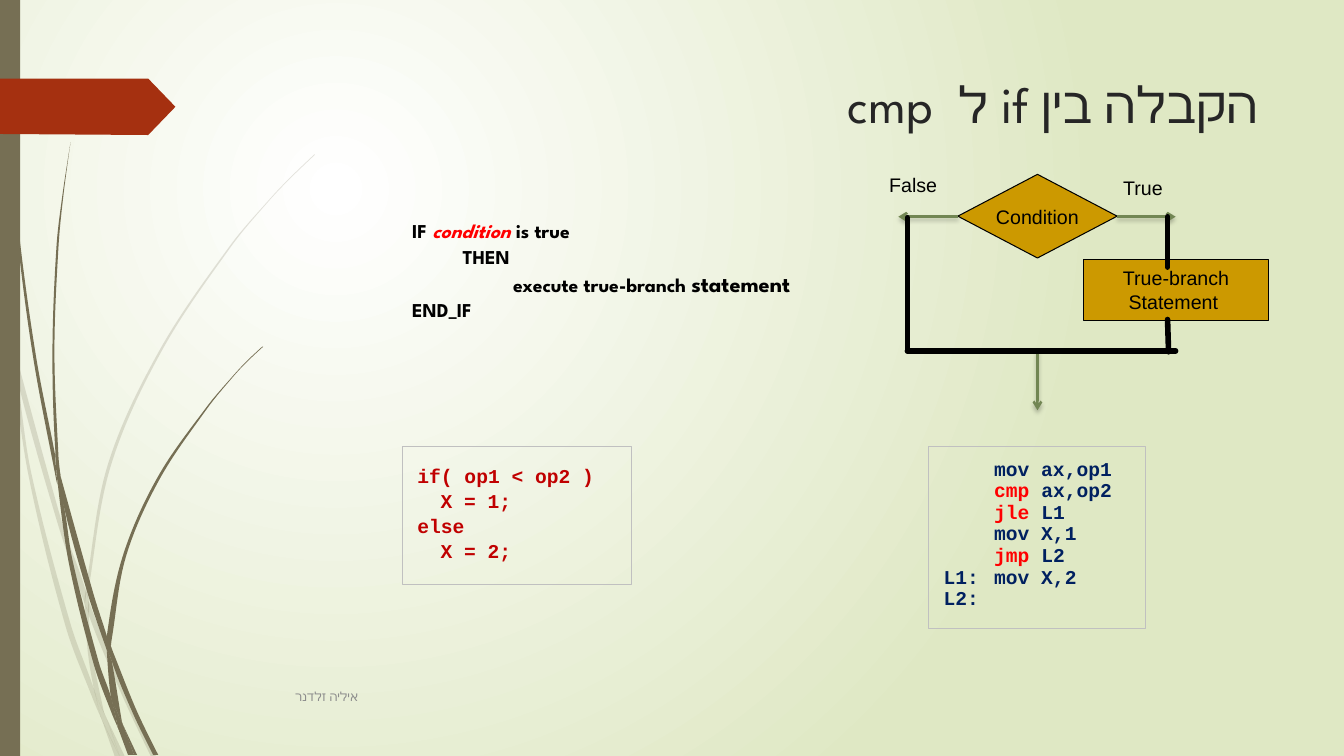
from math import hypot

from lxml import etree
from pptx import Presentation
from pptx.dml.color import RGBColor
from pptx.enum.shapes import MSO_CONNECTOR, MSO_SHAPE
from pptx.enum.text import MSO_ANCHOR, PP_ALIGN
from pptx.oxml.ns import qn
from pptx.util import Inches, Pt

LEFT, CENTER, RIGHT = PP_ALIGN.LEFT, PP_ALIGN.CENTER, PP_ALIGN.RIGHT
TOP, MIDDLE = MSO_ANCHOR.TOP, MSO_ANCHOR.MIDDLE
RECTANGLE = MSO_SHAPE.RECTANGLE
PROCESS, DECISION = MSO_SHAPE.FLOWCHART_PROCESS, MSO_SHAPE.FLOWCHART_DECISION
STRAIGHT = MSO_CONNECTOR.STRAIGHT
BROWN, RUST, GOLD, GREEN = "766F54", "A53010", "CC9900", "728653"
BLACK, RED, NAVY, DARK_RED, SILVER = "000000", "FF0000", "002060", "C00000", "C0C0C0"
HEADING_FONT, LABEL_FONT, CODE_FONT = "League Spartan", "Arial", "Courier New"

TITLE = "הקבלה בין if ל  cmp"
FOOTER = "איליה זלדנר"
# Each line is (indent in inches, runs); each run is (text, differences from the base style).
KEYWORD = {"color": RED}
PSEUDOCODE_HEAD = [(0, [("IF ", {}), ("condition", {"color": RED, "italic": True}), (" is true", {})])]
PSEUDOCODE_REST = [
    (0, [("\tTHEN", {})]),
    (0, [("\t\texecute true-branch ", {}), ("statement", {"size": 16})]),
    (0, [("END_IF", {})]),
]
C_CODE = [(indent, [(text, {})]) for indent, text in [
    (0, "if( op1 < op2 )"), (0.23, "X = 1;"), (0, "else"), (0.23, "X = 2;")]]
ASSEMBLY = [
    (0.5, [("mov ax,op1", {})]),
    (0.5, [("cmp", KEYWORD), (" ax,op2", {})]),
    (0.5, [("jle", KEYWORD), (" L1", {})]),
    (0.5, [("mov X,1", {})]),
    (0.5, [("jmp", KEYWORD), (" L2", {})]),
    (0, [("L1:\tmov X,2", {})]),
    (0, [("L2:", {})]),
]
FLOW_SHAPES = [
    (PROCESS, (10.75, 2.57, 1.83, 0.61), ["True-branch", "Statement "]),
    (DECISION, (9.5, 1.73, 1.58, 0.83), ["Condition"]),
]
BRANCH_LABELS = [("True", (11.04, 1.7, 1.08, 0.34)), ("False", (8.72, 1.67, 0.92, 0.34))]
FLOW_ARROWS = [(11.08, 2.15, 11.66, 2.15), (9.5, 2.15, 8.91, 2.15), (10.29, 3.48, 10.29, 4.07)]
FLOW_LINES = [(11.58, 2.15, 11.58, 2.65), (9, 2.16, 9, 3.48),
              (11.66, 3.48, 9, 3.48), (11.58, 3.17, 11.59, 3.49)]
BANNER = [(0, 0.78), (1.47, 0.78), (1.74, 1.06), (1.47, 1.34), (0, 1.33)]
# Grass pieces as closed outlines, the pale tuft behind the dark one.
PALE_GRASS = [
    [(0.11, 3.5), (0.09, 3.22), (0, 2.82), (0, 2.99), (0.1, 3.44)],
    [(0.58, 5.22), (0.84, 5.99), (0.85, 5.86), (0.62, 5.2), (0.14, 3.45), (0.17, 3.76)],
    [(0.92, 6.07), (0.88, 5.96), (0.88, 6.1), (1.23, 6.94), (1.5, 7.51), (1.55, 7.51), (1.27, 6.92)],
    [(1.19, 7.51), (1.24, 7.51), (1.05, 7.11)],
    [(0.93, 6.83), (0.7, 6.19), (0.31, 4.69), (0.17, 3.76), (0.11, 3.5), (0.28, 4.7),
     (0.65, 6.21), (0.92, 6.93), (1.01, 7.14), (0.99, 7.07)],
    [(0.84, 5.99), (0.87, 6.46), (0.93, 6.83), (0.96, 6.92), (1.05, 7.11), (1.03, 7.06),
     (0.91, 6.46), (0.88, 6.1), (0.88, 6.08)],
    [(0.88, 5.84), (1.1, 4.62), (1.6, 3.49), (2.29, 2.45), (2.68, 1.98), (2.9, 1.75),
     (3.12, 1.54), (3.12, 1.53), (2.89, 1.75), (2.68, 1.97), (2.28, 2.44), (1.58, 3.48),
     (1.07, 4.61), (0.85, 5.84), (0.85, 5.86), (0.88, 5.96)],
    [(1.01, 7.14), (1.14, 7.51), (1.19, 7.51)],
    [(0.88, 6.08), (0.88, 6.1), (0.88, 5.96), (0.85, 5.86), (0.84, 5.99)],
    [(0.96, 6.92), (0.93, 6.83), (0.99, 7.07), (1.01, 7.14), (1.19, 7.51), (1.05, 7.11)],
]
DARK_GRASS = [
    [(0.07, 1.1), (0.17, 2.33), (0.33, 3.55), (0.56, 4.77), (0.57, 4.81), (0.55, 4.57),
     (0.55, 4.53), (0.36, 3.55), (0.19, 2.32), (0.08, 1.09), (0.05, 0.48), (0.04, 0),
     (0.03, 0), (0.04, 0.48)],
    [(0.88, 5.92), (1.06, 6.45), (1.06, 6.33), (1.06, 6.31), (0.93, 5.9), (0.6, 4.72), (0.64, 5.05)],
    [(1.13, 6.49), (1.1, 6.41), (1.11, 6.56), (1.32, 7.08), (1.52, 7.49), (1.57, 7.49), (1.36, 7.06)],
    [(1.1, 6.91), (0.98, 6.57), (0.72, 5.56), (0.64, 5.05), (0.57, 4.77), (0.68, 5.57),
     (0.93, 6.59), (1.11, 7.08), (1.17, 7.22), (1.16, 7.17)],
    [(0.6, 4.72), (0.58, 4.53), (0.54, 3.49), (0.58, 2.45), (0.63, 1.93), (0.7, 1.41),
     (0.62, 1.93), (0.56, 2.45), (0.52, 3.49), (0.55, 4.49)],
    [(1.33, 7.49), (1.36, 7.49), (1.22, 7.19)],
    [(0.57, 4.77), (0.64, 5.05), (0.6, 4.72), (0.55, 4.49), (0.55, 4.53)],
    [(1.11, 6.33), (1.25, 5.52), (1.58, 4.76), (2.05, 4.06), (2.31, 3.74), (2.45, 3.59),
     (2.61, 3.44), (2.6, 3.44), (2.45, 3.58), (2.31, 3.73), (2.04, 4.05), (1.56, 4.74),
     (1.22, 5.51), (1.06, 6.31), (1.1, 6.41)],
    [(1.17, 7.22), (1.27, 7.49), (1.31, 7.49)],
    [(1.06, 6.45), (1.1, 6.91), (1.16, 7.06), (1.22, 7.19), (1.21, 7.16), (1.11, 6.56), (1.09, 6.51)],
    [(1.06, 6.45), (1.09, 6.51), (1.11, 6.56), (1.1, 6.41), (1.06, 6.31), (1.06, 6.33)],
    [(1.16, 7.06), (1.1, 6.91), (1.16, 7.17), (1.17, 7.22), (1.3, 7.49), (1.33, 7.49), (1.22, 7.19)],
]


def rgb(value):
    """Turn a hex string into a colour."""
    return RGBColor.from_string(value)


def add_xml(parent, tag, **attributes):
    """Append a drawing element with attributes."""
    return etree.SubElement(parent, qn(tag), {key: str(value) for key, value in attributes.items()})


def style_run(run, font, size, color, bold=False, italic=False):
    """Format one run."""
    run.font.name, run.font.size = font, Pt(size)
    run.font.bold, run.font.italic = bold, italic
    run.font.color.rgb = rgb(color)


def write_lines(frame, lines, style, line_spacing=1.0, before=0, align=LEFT, append=False):
    """Write lines of styled runs, spaced in percent, with half-inch tab stops."""
    for index, (indent, runs) in enumerate(lines):
        paragraph = frame.add_paragraph() if index or append else frame.paragraphs[0]
        paragraph.alignment, paragraph.line_spacing = align, line_spacing
        paragraph.space_before = Pt(0)
        properties = paragraph._p.get_or_add_pPr()
        spacing = properties.find(qn("a:spcBef"))
        spacing.remove(spacing[0])
        add_xml(spacing, "a:spcPct", val=before * 1000)
        properties.set("marL", str(Inches(indent)))
        properties.set("indent", "0")
        tabs = add_xml(properties, "a:tabLst")
        for stop in (0.5, 1):
            add_xml(tabs, "a:tab", pos=Inches(stop), algn="l")
        for text, changes in runs:
            run = paragraph.add_run()
            run.text = text
            style_run(run, **{**style, **changes})


def paint(shape, fill, line=None):
    """Set the fill and outline, either may be absent, and drop the shadow."""
    shape.shadow.inherit = False
    if fill:
        shape.fill.solid()
        shape.fill.fore_color.rgb = rgb(fill)
    else:
        shape.fill.background()
    if line:
        shape.line.color.rgb, shape.line.width = rgb(line), Pt(0.75)
    else:
        shape.line.fill.background()


def add_box(slide, kind, box, fill=None, line=None):
    """Add a preset shape."""
    shape = slide.shapes.add_shape(kind, *map(Inches, box))
    paint(shape, fill, line)
    return shape


def add_text(slide, box, anchor=TOP):
    """Add a wrapping text box and return its frame."""
    frame = slide.shapes.add_textbox(*map(Inches, box)).text_frame
    frame.word_wrap, frame.vertical_anchor = True, anchor
    return frame


def add_code(slide, box, lines, color, line_spacing, before):
    """Add a framed code listing."""
    frame = add_box(slide, RECTANGLE, box, line=SILVER).text_frame
    frame.word_wrap, frame.vertical_anchor = True, TOP
    frame.margin_left = frame.margin_right = Inches(0.15)
    frame.margin_top = frame.margin_bottom = Inches(0.2)
    style = {"font": CODE_FONT, "size": 14, "color": color, "bold": True}
    write_lines(frame, lines, style, line_spacing, before)


def add_line(slide, ends, color, width, arrow=False):
    """Add a flow line; arrows get a head and a soft shadow."""
    line = slide.shapes.add_connector(STRAIGHT, *map(Inches, ends))
    line.line.color.rgb, line.line.width = rgb(color), Pt(width)
    outline = line.line._get_or_add_ln()
    effects = add_xml(line._element.spPr, "a:effectLst")
    if arrow:
        add_xml(outline, "a:tailEnd", type="arrow")
        shadow = add_xml(effects, "a:outerShdw", blurRad=Pt(3), dist=Pt(2), dir=90 * 60000)
        add_xml(add_xml(shadow, "a:srgbClr", val=BLACK), "a:alpha", val=25000)
    else:
        outline.set("cap", "rnd")


def direction(start, end):
    """Return the unit vector between two points."""
    dx, dy = end[0] - start[0], end[1] - start[1]
    return dx / hypot(dx, dy), dy / hypot(dx, dy)


def tangent(before, point, after):
    """Return the curve direction at a point, or nothing at a corner."""
    (ax, ay), (bx, by) = direction(before, point), direction(point, after)
    return direction(before, after) if ax * bx + ay * by > 0.8 else (0, 0)


def add_outline(slide, points, color, opacity=100):
    """Add a closed outline, curved wherever it has no corner."""
    points = [(Inches(x), Inches(y)) for x, y in points]
    count = len(points)
    builder = slide.shapes.build_freeform(*points[0])
    builder.add_line_segments(points[1:] + points[:1], close=True)
    shape = builder.convert_to_shape()
    paint(shape, color)
    tangents = [tangent(points[i - 1], points[i], points[(i + 1) % count]) for i in range(count)]
    for index, segment in enumerate(list(shape._element.spPr.iter(qn("a:lnTo")))):
        following = (index + 1) % count
        start, end = points[index], points[following]
        reach = hypot(end[0] - start[0], end[1] - start[1]) / 3
        controls = [[s + reach * t for s, t in zip(start, tangents[index])],
                    [e - reach * t for e, t in zip(end, tangents[following])]]
        segment.tag = qn("a:cubicBezTo")
        for place, (x, y) in enumerate(controls):
            control = add_xml(segment, "a:pt", x=round(x - shape.left), y=round(y - shape.top))
            segment.insert(place, control)
    if opacity < 100:
        add_xml(shape._element.spPr.find(qn("a:solidFill"))[0], "a:alpha", val=opacity * 1000)


def set_background(slide):
    """Fill the background with a round gradient."""
    fill = slide.background.fill
    fill.gradient()
    for stop, color, position in zip(fill.gradient_stops, ("FFFFFF", "DFE8C4"), (0, 1)):
        stop.color.rgb, stop.position = rgb(color), position
    gradient = slide._element.cSld.find(".//" + qn("a:gradFill"))
    gradient.remove(gradient.find(qn("a:lin")))
    circle = add_xml(gradient, "a:path", path="circle")
    add_xml(circle, "a:fillToRect", l=50000, t=50000, r=100000, b=100000)


presentation = Presentation()
presentation.slide_width, presentation.slide_height = Inches(13.33), Inches(7.5)
slide = presentation.slides.add_slide(presentation.slide_layouts[5])
set_background(slide)

for tuft, opacity in ((PALE_GRASS, 20), (DARK_GRASS, 100)):
    for piece in tuft:
        add_outline(slide, piece, BROWN, opacity)
add_box(slide, RECTANGLE, (0, 0, 0.2, 7.5), BROWN)
add_outline(slide, BANNER, RUST)

title = slide.shapes.title
title.left, title.top, title.width, title.height = map(Inches, (2.83, 0.68, 9.75, 1.4))
title.text_frame.text = TITLE
title.text_frame.vertical_anchor = TOP
heading = title.text_frame.paragraphs[0]
heading.alignment = RIGHT
heading._p.get_or_add_pPr().set("rtl", "1")
style_run(heading.runs[0], HEADING_FONT, 36, "262626")

footer_style = {"font": HEADING_FONT, "size": 9, "color": "8C8C8C"}
write_lines(add_text(slide, (2.83, 6.71, 8.33, 0.4), MIDDLE), [(0, [(FOOTER, {})])], footer_style)

pseudocode = add_text(slide, (3.99, 2.12, 4.44, 1.19))
pseudocode_style = {"font": HEADING_FONT, "size": 14, "color": BLACK, "bold": True}
write_lines(pseudocode, PSEUDOCODE_HEAD, pseudocode_style, before=50)
write_lines(pseudocode, PSEUDOCODE_REST, pseudocode_style, 0.65, 50, append=True)

label_style = {"font": LABEL_FONT, "size": 14, "color": BLACK}
for kind, box, texts in FLOW_SHAPES:
    frame = add_box(slide, kind, box, GOLD, BLACK).text_frame
    frame.word_wrap, frame.vertical_anchor = False, MIDDLE
    write_lines(frame, [(0, [(text, {})]) for text in texts], label_style, align=CENTER)
for ends in FLOW_ARROWS:
    add_line(slide, ends, GREEN, 1.75, arrow=True)
for ends in FLOW_LINES:
    add_line(slide, ends, BLACK, 4)
for text, box in BRANCH_LABELS:
    write_lines(add_text(slide, box), [(0, [(text, {})])], label_style, before=50)

add_code(slide, (3.99, 4.43, 2.27, 1.37), C_CODE, DARK_RED, 0.9, 20)
add_code(slide, (9.21, 4.43, 2.15, 1.81), ASSEMBLY, NAVY, 0.5, 50)

presentation.save("out.pptx")
